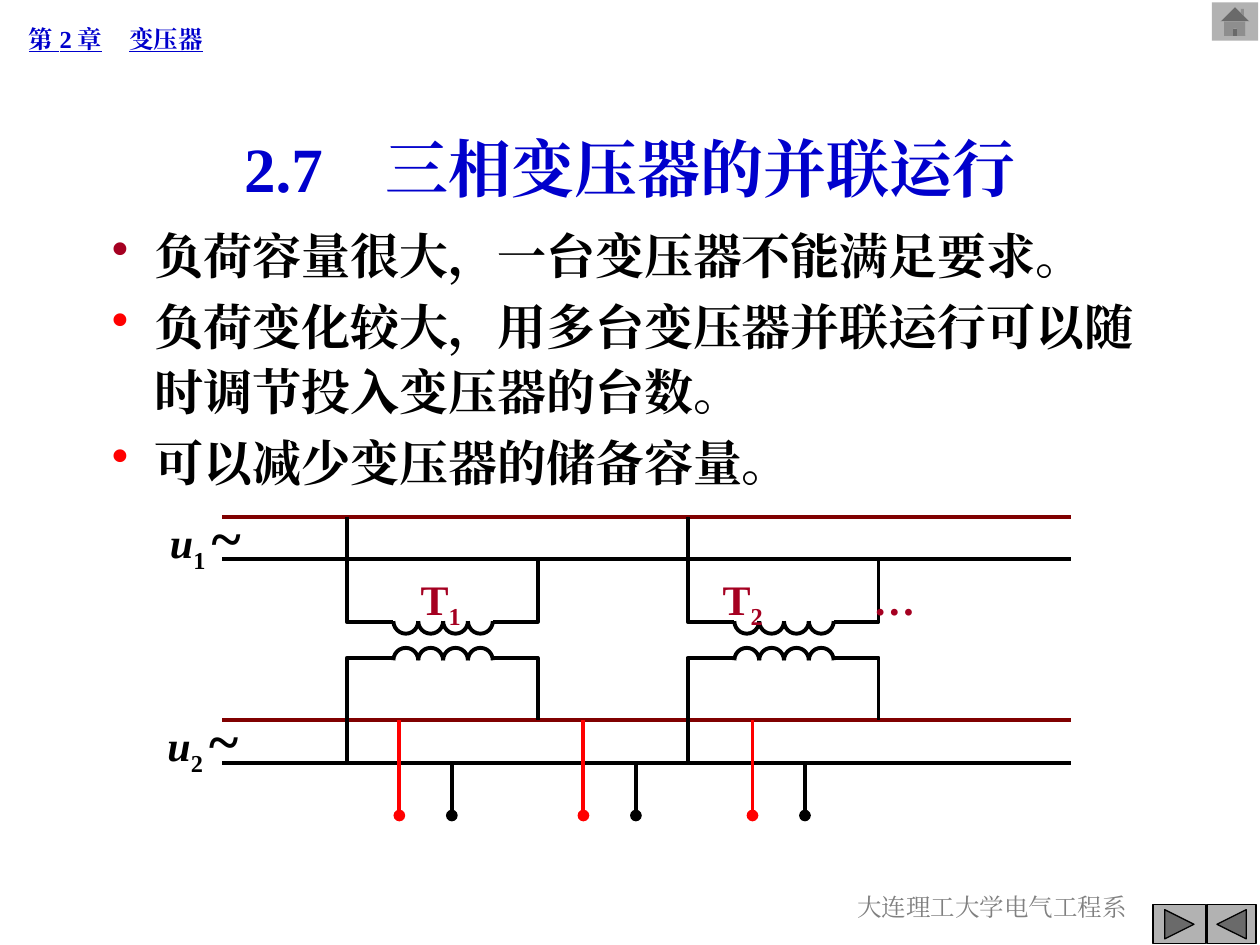
from dataclasses import dataclass

from pptx import Presentation
from pptx.dml.color import RGBColor
from pptx.enum import shapes, text
from pptx.oxml import parse_xml
from pptx.oxml.ns import nsdecls
from pptx.util import Pt


@dataclass(frozen=True)
class Theme:
    font: str = "Times New Roman"
    blue: str = "0000CC"
    crimson: str = "A50021"
    maroon: str = "800000"
    red: str = "FF0000"
    black: str = "000000"
    grey: str = "808080"
    button: str = "B2B2B2"
    title: int = 36
    wave: int = 32
    body: int = 28
    symbol: int = 24
    small: int = 14
    wire: float = 2.25


theme = Theme()
kind = shapes.MSO_SHAPE
deck = Presentation()
deck.slide_width, deck.slide_height = Pt(720), Pt(540)
page = deck.slides.add_slide(deck.slide_layouts[6])


def add_text(left, top, width, height, paragraphs, align=text.PP_ALIGN.LEFT,
             anchor=text.MSO_ANCHOR.TOP):
    """Add a box; each paragraph is a list of (words, size, colour, style letters)."""
    box = page.shapes.add_textbox(Pt(left), Pt(top), Pt(width), Pt(height))
    frame = box.text_frame
    frame.word_wrap = True
    frame.vertical_anchor = anchor
    for index, spans in enumerate(paragraphs):
        para = frame.paragraphs[0] if index == 0 else frame.add_paragraph()
        para.alignment = align
        for words, size, colour, style in spans:
            span = para.add_run()
            span.text = words
            span.font.size = Pt(size)
            span.font.name = theme.font
            span.font.bold = "b" in style
            span.font.italic = "i" in style
            span.font.underline = "u" in style
            span.font.color.rgb = RGBColor.from_string(colour)
            props = span.font._element
            props.append(parse_xml(f'<a:ea {nsdecls("a")} typeface="{theme.font}"/>'))
            if "s" in style:
                props.set("baseline", "-25000")
    return frame


def add_line(x1, y1, x2, y2, colour, dot=False):
    line = page.shapes.add_connector(shapes.MSO_CONNECTOR.STRAIGHT,
                                     Pt(x1), Pt(y1), Pt(x2), Pt(y2))
    line.line.color.rgb = RGBColor.from_string(colour)
    line.line.width = Pt(theme.wire)
    if dot:
        line.line._get_or_add_ln().append(
            parse_xml(f'<a:tailEnd {nsdecls("a")} type="oval"/>'))
    line._element.spPr.append(parse_xml(f'<a:effectLst {nsdecls("a")}/>'))


# Header, title and footer
header = add_text(9.4, 10, 232.6, 24.5,
                  [[("第 2 章\t变压器", theme.small, theme.blue, "bu")]],
                  anchor=text.MSO_ANCHOR.MIDDLE)
header.paragraphs[0]._p.get_or_add_pPr().append(parse_xml(
    f'<a:tabLst {nsdecls("a")}><a:tab pos="{Pt(57.5)}" algn="l"/></a:tabLst>'))
add_text(54, 67.7, 612, 56.2,
         [[("2.7　三相变压器的并联运行", theme.title, theme.blue, "b")]],
         text.PP_ALIGN.CENTER, text.MSO_ANCHOR.MIDDLE)
add_text(452.9, 506.2, 228.2, 36,
         [[("大连理工大学电气工程系", theme.small, theme.grey, "")]],
         text.PP_ALIGN.CENTER)

# Reasons for parallel operation: words, bullet colour, space before
reasons = [
    ("负荷容量很大，一台变压器不能满足要求。", theme.crimson, 0),
    ("负荷变化较大，用多台变压器并联运行可以随", theme.red, 7),
    ("时调节投入变压器的台数。", None, 3.5),
    ("可以减少变压器的储备容量。", theme.red, 7),
]
body = add_text(56.9, 125.3, 642.2, 159.1,
                [[(words, theme.body, theme.black, "b")] for words, _, _ in reasons])
for para, (_, bullet, gap) in zip(body.paragraphs, reasons):
    para.space_before = Pt(gap)
    para.line_spacing = Pt(33.6)
    props = para._p.get_or_add_pPr()
    props.set("marL", str(Pt(24.5)))
    props.set("indent", str(Pt(-24.5) if bullet else 0))
    if bullet:
        props.append(parse_xml(
            f'<a:buClr {nsdecls("a")}><a:srgbClr val="{bullet}"/></a:buClr>'))
        props.append(parse_xml(f'<a:buChar {nsdecls("a")} char="•"/>'))

# Busbars, each pair with its voltage label
primary, secondary = (295.3, 319.5), (411.6, 435.8)
for number, bars, left, top in (("1", primary, 90, 283.7),
                                ("2", secondary, 88.6, 399.8)):
    for y, colour in zip(bars, (theme.maroon, theme.black)):
        add_line(127, y, 612, y, colour)
    add_text(left, top, 61.2, 48.2,
             [[("u", theme.symbol, theme.black, "bi"),
               (number + " ", theme.symbol, theme.black, "bs"),
               ("~", theme.wave, theme.black, "b")]])

# Load taps
for x in (228.2, 333.4, 430):
    add_line(x, secondary[0], x, 466, theme.red, dot=True)
    add_line(x + 30, secondary[1], x + 30, 466, theme.black, dot=True)

# Transformers: two windings of four half turns, wired to the busbars
turn = 14.2
for left in (198.2, 393):
    coil_left = left + 26.6
    coil_right = coil_left + 4 * turn
    right = left + 109
    for lead_y, centre_y, bars, start, end in (
            (355.3, 355, primary, 0, 180),
            (375.9, 377.3, secondary, 180, 0)):
        outlines = []
        for coil_x, outer_x, bar_y in ((coil_left, left, bars[bars is secondary]),
                                       (coil_right, right, bars[bars is primary])):
            # the left lead takes the far bar, the right lead the near one
            far_y = bars[0] if (bars is primary) == (outer_x == left) else bars[1]
            if bars is secondary:
                far_y = bars[1] if outer_x == left else bars[0]
            path = page.shapes.build_freeform(Pt(coil_x), Pt(lead_y))
            path.add_line_segments([(Pt(outer_x), Pt(lead_y)),
                                    (Pt(outer_x), Pt(far_y))], close=False)
            outlines.append(path.convert_to_shape())
        for index in range(4):
            arc = page.shapes.add_shape(kind.ARC, Pt(coil_left + index * turn),
                                        Pt(centre_y - turn / 2), Pt(turn), Pt(turn))
            arc.adjustments[0] = start * 0.6
            arc.adjustments[1] = end * 0.6
            outlines.append(arc)
        for outline in outlines:
            outline.shadow.inherit = False
            outline.fill.background()
            outline.line.color.rgb = RGBColor.from_string(theme.black)
            outline.line.width = Pt(theme.wire)

# Transformer names
for left, name, number in ((233.3, "T", "1"), (405.8, "T", "2"), (492, "…", "")):
    spans = [(name, theme.symbol, theme.crimson, "b")]
    if number:
        spans.append((number, theme.symbol, theme.crimson, "bs"))
    add_text(left, 324, 50, 40.3, [spans])

# Navigation buttons
for preset, left, top, width, height, outlined in (
        (kind.ACTION_BUTTON_FORWARD_OR_NEXT, 658.8, 517, 30.2, 22.3, True),
        (kind.ACTION_BUTTON_BACK_OR_PREVIOUS, 689.8, 517, 28, 22.3, True),
        (kind.ACTION_BUTTON_HOME, 692.6, 1.4, 26.3, 21.8, False)):
    button = page.shapes.add_shape(preset, Pt(left), Pt(top), Pt(width), Pt(height))
    button.shadow.inherit = False
    button.fill.solid()
    button.fill.fore_color.rgb = RGBColor.from_string(theme.button)
    if outlined:
        button.line.color.rgb = RGBColor.from_string(theme.black)
        button.line.width = Pt(0.75)
    else:
        button.line.fill.background()

deck.save("out.pptx")
